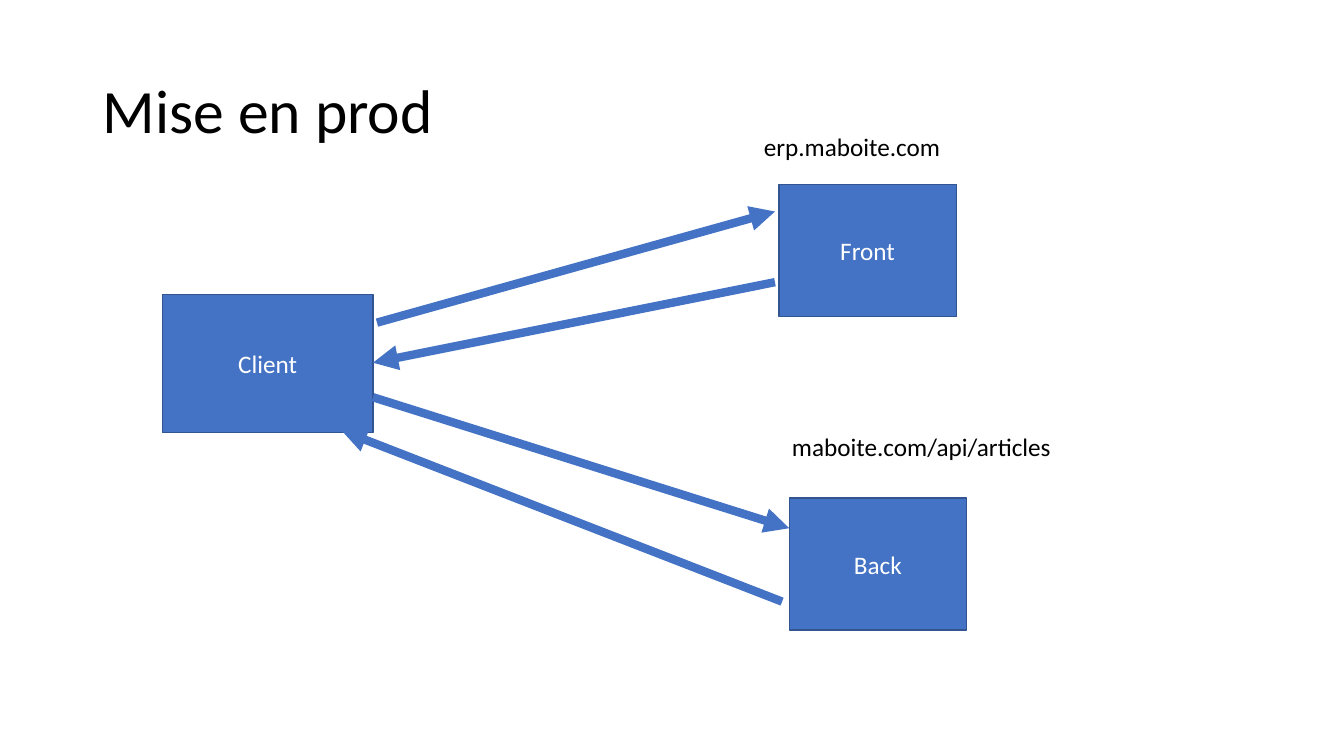
from lxml import etree
from pptx import Presentation
from pptx import util as u
from pptx.dml.color import RGBColor
from pptx.enum import shapes, text
from pptx.oxml import ns

FONT = "Calibri"
BLUE = "4472C4"
DARK_BLUE = "325491"
BLACK = "000000"
WHITE = "FFFFFF"
SERVER_SIZE = (4.47, 3.33)


def color(hex_string):
    """Turn a hex string into a colour."""
    return RGBColor.from_string(hex_string)


def box(left, top, width, height):
    """Convert a frame in centimetres to lengths."""
    return [u.Cm(value) for value in (left, top, width, height)]


def write(shape, wording, size, hex_string, alignment=text.PP_ALIGN.LEFT):
    """Put one formatted paragraph into a shape."""
    shape.text_frame.text = wording
    paragraph = shape.text_frame.paragraphs[0]
    paragraph.alignment = alignment
    font = paragraph.runs[0].font
    font.name = FONT
    font.size = u.Pt(size)
    font.color.rgb = color(hex_string)
    return paragraph


def set_title(slide, wording):
    """Place and format the title placeholder."""
    title = slide.shapes.title
    title.left, title.top, title.width, title.height = box(2.34, 1.02, 29.21, 3.68)
    paragraph = write(title, wording, 44, BLACK)
    paragraph.line_spacing = 0.9
    title.text_frame.vertical_anchor = text.MSO_ANCHOR.MIDDLE


def add_machine(slide, name, left, top, width, height):
    """Add a blue rectangle with a centred name."""
    machine = slide.shapes.add_shape(
        shapes.MSO_SHAPE.RECTANGLE, *box(left, top, width, height))
    machine.shadow.inherit = False
    machine.fill.solid()
    machine.fill.fore_color.rgb = color(BLUE)
    machine.line.color.rgb = color(DARK_BLUE)
    machine.line.width = u.Pt(1)
    write(machine, name, 18, WHITE, text.PP_ALIGN.CENTER)
    machine.text_frame.vertical_anchor = text.MSO_ANCHOR.MIDDLE


def add_address(slide, address, left, top, width):
    """Add an unwrapped address label."""
    label = slide.shapes.add_textbox(*box(left, top, width, 1.02))
    label.text_frame.word_wrap = False
    label.text_frame.auto_size = text.MSO_AUTO_SIZE.SHAPE_TO_FIT_TEXT
    write(label, address, 18, BLACK)


def add_arrow(slide, start_x, start_y, end_x, end_y):
    """Add a thick arrow pointing at its end."""
    arrow = slide.shapes.add_connector(
        shapes.MSO_CONNECTOR.STRAIGHT, *box(start_x, start_y, end_x, end_y))
    arrow.line.color.rgb = color(BLUE)
    arrow.line.width = u.Pt(6)
    properties = arrow.element.spPr
    outline = properties.find(ns.qn("a:ln"))
    etree.SubElement(outline, ns.qn("a:tailEnd"), type="triangle")
    etree.SubElement(properties, ns.qn("a:effectLst"))


def main():
    """Build the deployment slide."""
    presentation = Presentation()
    presentation.slide_width = u.Cm(33.87)
    presentation.slide_height = u.Cm(19.05)
    slide = presentation.slides.add_slide(presentation.slide_layouts[5])
    set_title(slide, "Mise en prod")
    add_machine(slide, "Front", 19.63, 4.65, *SERVER_SIZE)
    add_machine(slide, "Back", 19.89, 12.55, *SERVER_SIZE)
    add_address(slide, "maboite.com/api/articles", 19.71, 10.74, 7.11)
    add_address(slide, "erp.maboite.com", 19, 3.18, 5)
    add_machine(slide, "Client", 4.09, 7.42, 5.31, 3.48)
    for route in (
        (9.5, 8.13, 19.53, 5.33),
        (19.53, 7.11, 9.4, 9.14),
        (9.4, 10.01, 19.89, 13.31),
        (19.71, 15.16, 8.61, 10.85),
    ):
        add_arrow(slide, *route)
    presentation.save("out.pptx")


if __name__ == "__main__":
    main()
